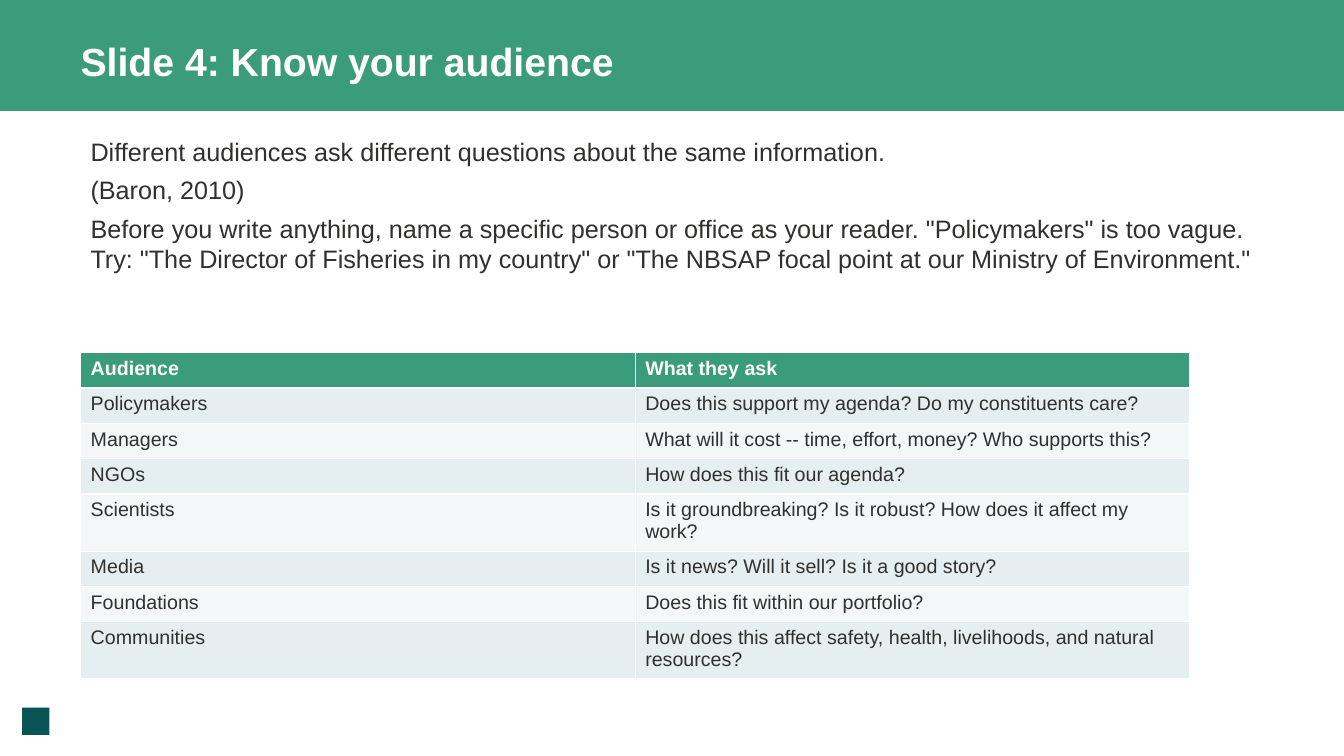
import pptx
import pptx.util
import pptx.dml.color
import pptx.enum.shapes
import pptx.enum.text

Inches = pptx.util.Inches
Pt = pptx.util.Pt
Align = pptx.enum.text.PP_ALIGN
Anchor = pptx.enum.text.MSO_ANCHOR
Fit = pptx.enum.text.MSO_AUTO_SIZE

COLORS = {
    "green": "3B9C7B",
    "teal": "0A5455",
    "ink": "30302F",
    "white": "FFFFFF",
    "odd": "E5EEF0",
    "even": "F3F7F7",
}


def paint(fill, name):
    fill.solid()
    fill.fore_color.rgb = pptx.dml.color.RGBColor.from_string(COLORS[name])


def write(para, text, size, color, bold=False):
    run = para.add_run()
    run.text = text
    run.font.name = "Arial"
    run.font.size = Pt(size)
    run.font.bold = bold
    paint(run.font.fill, color)


deck = pptx.Presentation()
deck.slide_width = Inches(13.33)
deck.slide_height = Inches(7.5)
slide = deck.slides.add_slide(deck.slide_layouts[5])

title = slide.shapes.title
title.left, title.top = Inches(0), Inches(0)
title.width, title.height = Inches(13.33), Inches(1.1)
paint(title.fill, "green")
frame = title.text_frame
frame.auto_size = Fit.NONE
frame.word_wrap = True
frame.vertical_anchor = Anchor.MIDDLE
frame.margin_left = Inches(0.8)
frame.margin_top = Inches(0.15)
frame.margin_right = Inches(0.1)
frame.margin_bottom = Inches(0.05)
para = frame.paragraphs[0]
para.alignment = Align.LEFT
write(para, "Slide 4: Know your audience", 28, "white", True)

mark = slide.shapes.add_shape(
    pptx.enum.shapes.MSO_SHAPE.RECTANGLE,
    Inches(0.22), Inches(7.02), Inches(0.27), Inches(0.27))
mark.shadow.inherit = False
paint(mark.fill, "teal")
mark.line.fill.background()

body = slide.shapes.add_textbox(
    Inches(0.8), Inches(1.3), Inches(11.73), Inches(5.5))
frame = body.text_frame
frame.word_wrap = True
lines = [
    "Different audiences ask different questions about the same information.",
    "(Baron, 2010)",
    'Before you write anything, name a specific person or office as your reader. '
    '"Policymakers" is too vague. Try: "The Director of Fisheries in my country" '
    'or "The NBSAP focal point at our Ministry of Environment."',
]
for i, line in enumerate(lines):
    para = frame.add_paragraph() if i else frame.paragraphs[0]
    if i:
        para.space_before = Pt(6)
    write(para, line, 18, "ink")

rows = [
    ("Audience", "What they ask"),
    ("Policymakers", "Does this support my agenda? Do my constituents care?"),
    ("Managers", "What will it cost -- time, effort, money? Who supports this?"),
    ("NGOs", "How does this fit our agenda?"),
    ("Scientists", "Is it groundbreaking? Is it robust? How does it affect my work?"),
    ("Media", "Is it news? Will it sell? Is it a good story?"),
    ("Foundations", "Does this fit within our portfolio?"),
    ("Communities", "How does this affect safety, health, livelihoods, and natural resources?"),
]
table = slide.shapes.add_table(
    len(rows), 2, Inches(0.8), Inches(3.5), Inches(11), Inches(2.8)).table
for r, row in enumerate(rows):
    table.rows[r].height = Inches(0.35)
    head = r == 0
    shade = "green" if head else "odd" if r % 2 else "even"
    for c, text in enumerate(row):
        cell = table.cell(r, c)
        paint(cell.fill, shade)
        write(cell.text_frame.paragraphs[0], text, 14,
              "white" if head else "ink", head)

deck.save("out.pptx")
